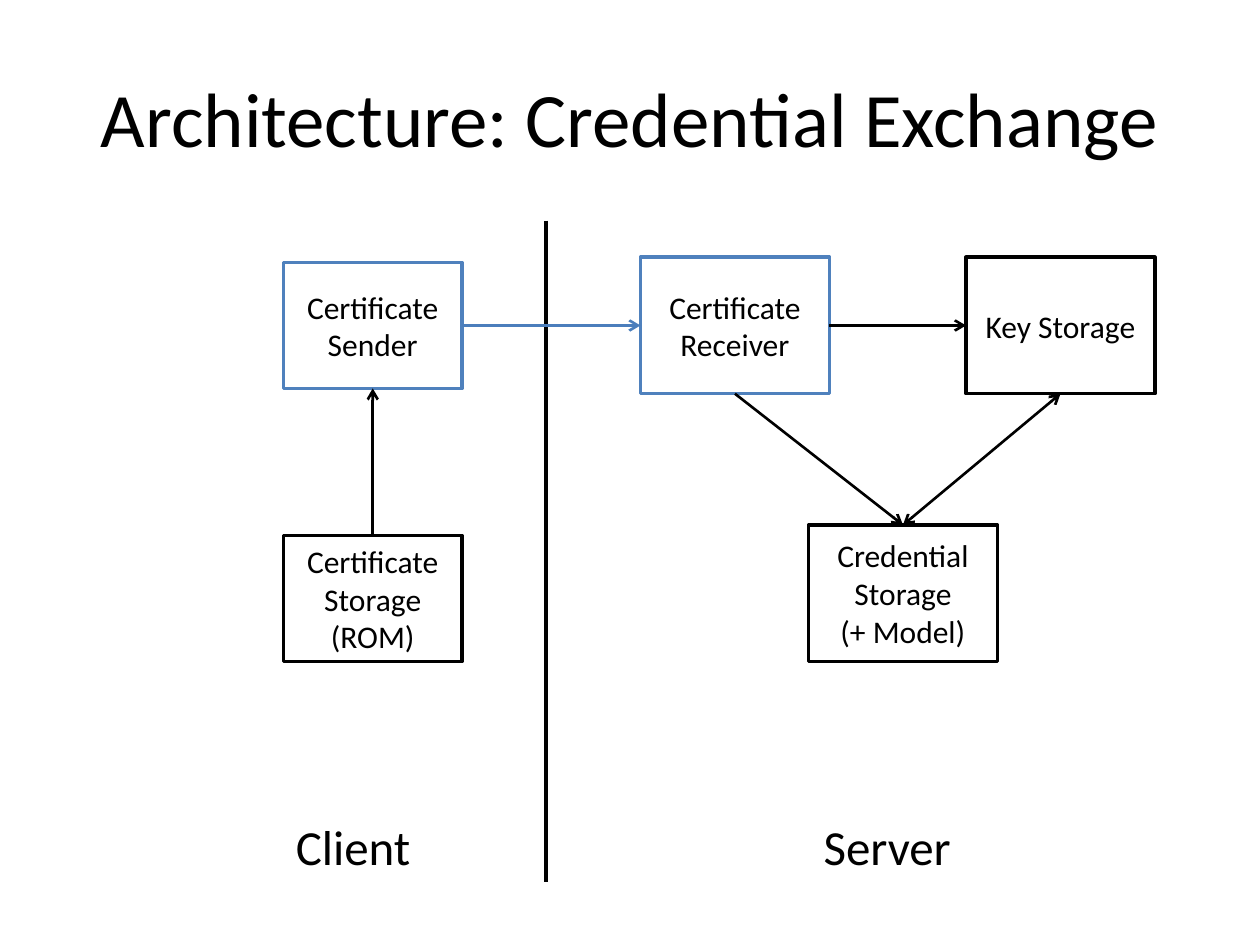
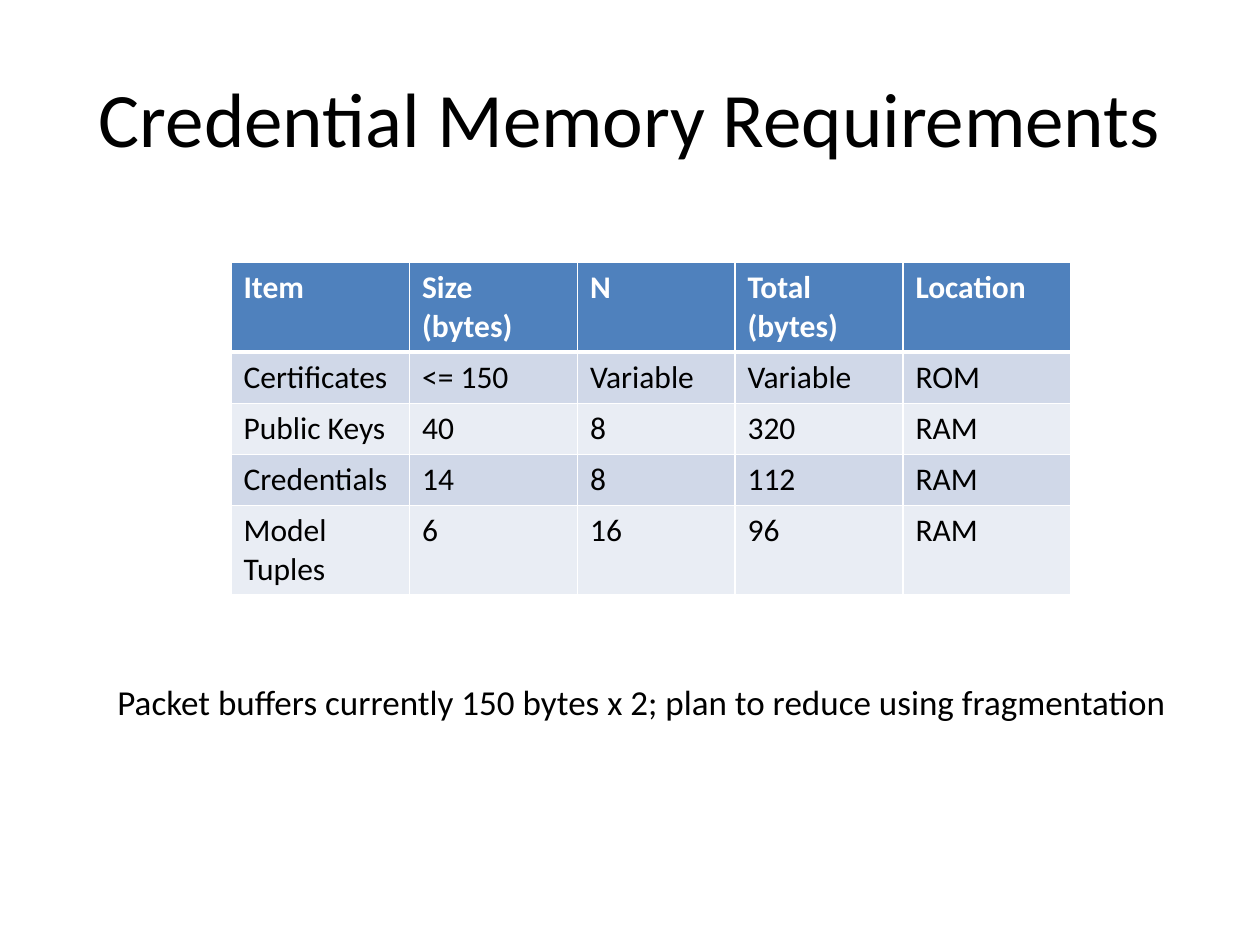
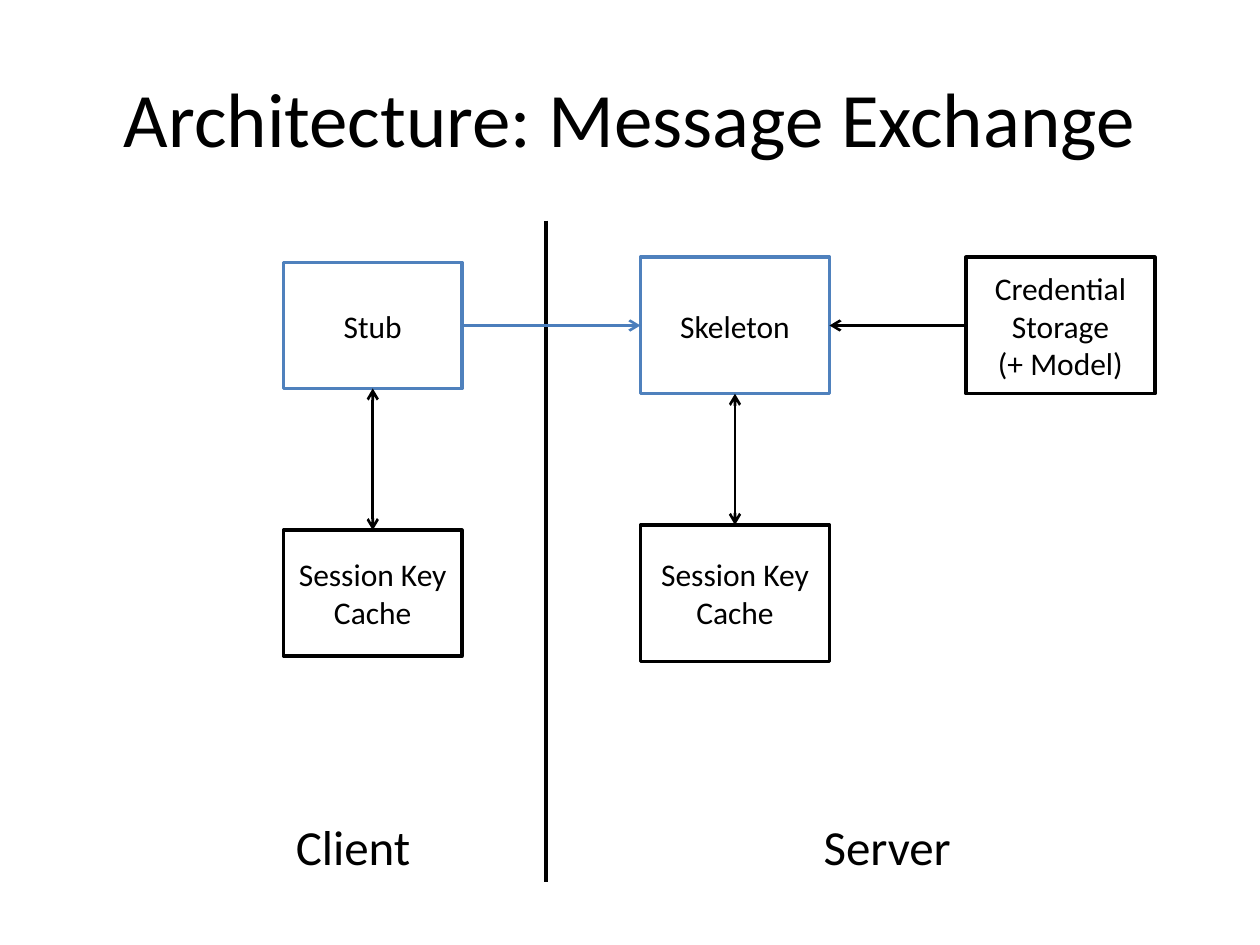
import pptx
import pptx.util
import pptx.dml.color
import pptx.enum.shapes
import pptx.enum.text
import pptx.oxml
import pptx.oxml.ns
import lxml.etree

HUES = {"ink": "000000", "paper": "FFFFFF", "blue": "4F81BD", "link": "4B7EBC",
        "odd": "D0D8E8", "even": "E9EDF4"}
FONT = "Calibri"
COLS, ROWS = 120, 90
WIDE, HIGH = pptx.util.Inches(10), pptx.util.Inches(7.5)
TITLE = (6, 3.6, 108, 15)
CHART = (27, 21, 83, 63)
GRID = (22, 25, 80, 24.4)
NOTE = (10, 64.2, 102.5, 5.28)
TOP, LEFT, FOOT, RIGHT = range(4)
PLACES = {"send": (0, 4, 17, 12), "take": (34, 3.5, 18, 13), "far": (65, 3.5, 18, 13),
          "rom": (0, 30, 17, 12), "cache": (0, 29.5, 17, 12),
          "near": (34, 29, 18, 13), "mid": (50, 29, 18, 13)}


def hue(name):
    """Return the named colour."""
    return pptx.dml.color.RGBColor.from_string(HUES[name])


def place(x, y, wide, high):
    """Turn grid columns and rows into slide lengths."""
    return (round(WIDE * x / COLS), round(HIGH * y / ROWS),
            round(WIDE * wide / COLS), round(HIGH * high / ROWS))


def within(box, part):
    """Shift a part by the corner of its box."""
    return box[0] + part[0], box[1] + part[1], part[2], part[3]


def write(frame, text, size=18, color="ink", bold=False, align="LEFT", anchor="TOP", wrap=True):
    """Fill a text frame, one paragraph for each line."""
    frame.word_wrap = wrap
    frame.vertical_anchor = getattr(pptx.enum.text.MSO_ANCHOR, anchor)
    frame.text = text
    for para in frame.paragraphs:
        para.alignment = getattr(pptx.enum.text.PP_ALIGN, align)
        for run in para.runs:
            font = run.font
            font.name, font.size, font.bold = FONT, pptx.util.Pt(size), bold
            font.color.rgb = hue(color)


def label(slide, box, text, **look):
    """Add one line of free text."""
    frame = slide.shapes.add_textbox(*place(*box)).text_frame
    write(frame, text, wrap=False, **look)
    frame.auto_size = pptx.enum.text.MSO_AUTO_SIZE.SHAPE_TO_FIT_TEXT


def start(deck, title):
    """Add a slide with its title."""
    slide = deck.slides.add_slide(deck.slide_layouts[5])
    head = slide.shapes.title
    head.left, head.top, head.width, head.height = place(*TITLE)
    write(head.text_frame, title, size=44, align="CENTER", anchor="MIDDLE")
    return slide


def node(slide, box, text, color):
    """Add an outlined box with centred text."""
    shape = slide.shapes.add_shape(pptx.enum.shapes.MSO_SHAPE.RECTANGLE, *place(*box))
    shape.shadow.inherit = False
    shape.fill.solid()
    shape.fill.fore_color.rgb = hue("paper")
    shape.line.color.rgb = hue(color)
    shape.line.width = pptx.util.Pt(2)
    write(shape.text_frame, text, align="CENTER", anchor="MIDDLE")
    return shape


def stroke(slide, ends=(0, 0, 0, 0), color="ink", width=1.5, tips=()):
    """Add a straight line with open arrowheads at its tips."""
    line = slide.shapes.add_connector(pptx.enum.shapes.MSO_CONNECTOR.STRAIGHT, *ends)
    line.line.color.rgb = hue(color)
    line.line.width = pptx.util.Pt(width)
    for tip in tips:
        mark = lxml.etree.SubElement(line.line._ln, pptx.oxml.ns.qn(f"a:{tip}End"))
        mark.set("type", "arrow")
    lxml.etree.SubElement(line._element.spPr, pptx.oxml.ns.qn("a:effectLst"))
    return line


def diagram(slide, box, nodes, links):
    """Draw client and server halves with linked nodes."""
    shapes = {}
    for key, text in nodes.items():
        color = "blue" if key in ("send", "take") else "ink"
        shapes[key] = node(slide, within(box, PLACES[key]), text, color)
    x, y, wide, high = place(*within(box, (25, 0, 0, box[3])))
    stroke(slide, (x, y, x + wide, y + high), width=2.5)
    for text, left, wide in (("Client", 0, 13.44), ("Server", 50.25, 14.64)):
        label(slide, within(box, (left, 56.16, wide, 6.84)), text, size=28)
    for first, side, last, edge, tips in links:
        color = "link" if (first, last) == ("send", "take") else "ink"
        line = stroke(slide, color=color, tips=tips)
        line.begin_connect(shapes[first], side)
        line.end_connect(shapes[last], edge)


def border(cell, sides):
    """Give a cell white borders of the given widths."""
    props = cell._tc.get_or_add_tcPr()
    for side, width in sides.items():
        edge = lxml.etree.SubElement(props, pptx.oxml.ns.qn(f"a:ln{side}"))
        edge.set("w", str(pptx.util.Pt(width)))
        fill = lxml.etree.SubElement(edge, pptx.oxml.ns.qn("a:solidFill"))
        lxml.etree.SubElement(fill, pptx.oxml.ns.qn("a:srgbClr")).set("val", HUES["paper"])


def sheet(slide, box, widths, rows):
    """Draw a table with a header and banded rows."""
    table = slide.shapes.add_table(len(rows), len(widths), *place(*box)).table
    for col, wide in zip(table.columns, widths):
        col.width = round(WIDE * wide / COLS)
    for i, row in enumerate(rows):
        head = i == 0
        band = "blue" if head else ("even", "odd")[i % 2]
        for j, text in enumerate(row):
            cell = table.cell(i, j)
            border(cell, {"L": 1, "R": 1, "T": 3 if i == 1 else 1, "B": 3 if head else 1})
            cell.fill.solid()
            cell.fill.fore_color.rgb = hue(band)
            write(cell.text_frame, text, bold=head, color="paper" if head else "ink")


def main():
    """Build the deck."""
    deck = pptx.Presentation()
    deck.slide_width, deck.slide_height = WIDE, HIGH
    one, both, back = ("tail",), ("head", "tail"), ("head",)
    cross = ("send", RIGHT, "take", LEFT, one)
    store = "Credential\nStorage\n(+ Model)"

    slide = start(deck, "Architecture: Credential Exchange")
    diagram(slide, CHART,
            {"send": "Certificate\nSender", "rom": "Certificate\nStorage\n(ROM)",
             "take": "Certificate\nReceiver", "far": "Key Storage", "mid": store},
            [("rom", TOP, "send", FOOT, one), cross,
             ("take", RIGHT, "far", LEFT, one),
             ("take", FOOT, "mid", TOP, one),
             ("far", FOOT, "mid", TOP, both)])

    slide = start(deck, "Credential Memory Requirements")
    sheet(slide, GRID, (17, 16, 15, 16, 16),
          [("Item", "Size (bytes)", "N", "Total (bytes)", "Location"),
           ("Certificates", "<= 150", "Variable", "Variable", "ROM"),
           ("Public Keys", "40", "8", "320", "RAM"),
           ("Credentials", "14", "8", "112", "RAM"),
           ("Model Tuples", "6", "16", "96", "RAM")])
    label(slide, NOTE, "Packet buffers currently 150 bytes x 2; "
          "plan to reduce using fragmentation", size=20)

    slide = start(deck, "Architecture: Message Exchange")
    cache = "Session Key Cache"
    diagram(slide, CHART,
            {"send": "Stub", "cache": cache, "take": "Skeleton", "near": cache, "far": store},
            [("cache", TOP, "send", FOOT, both), cross,
             ("take", FOOT, "near", TOP, both),
             ("take", RIGHT, "far", LEFT, back)])
    deck.save("out.pptx")


if __name__ == "__main__":
    main()
